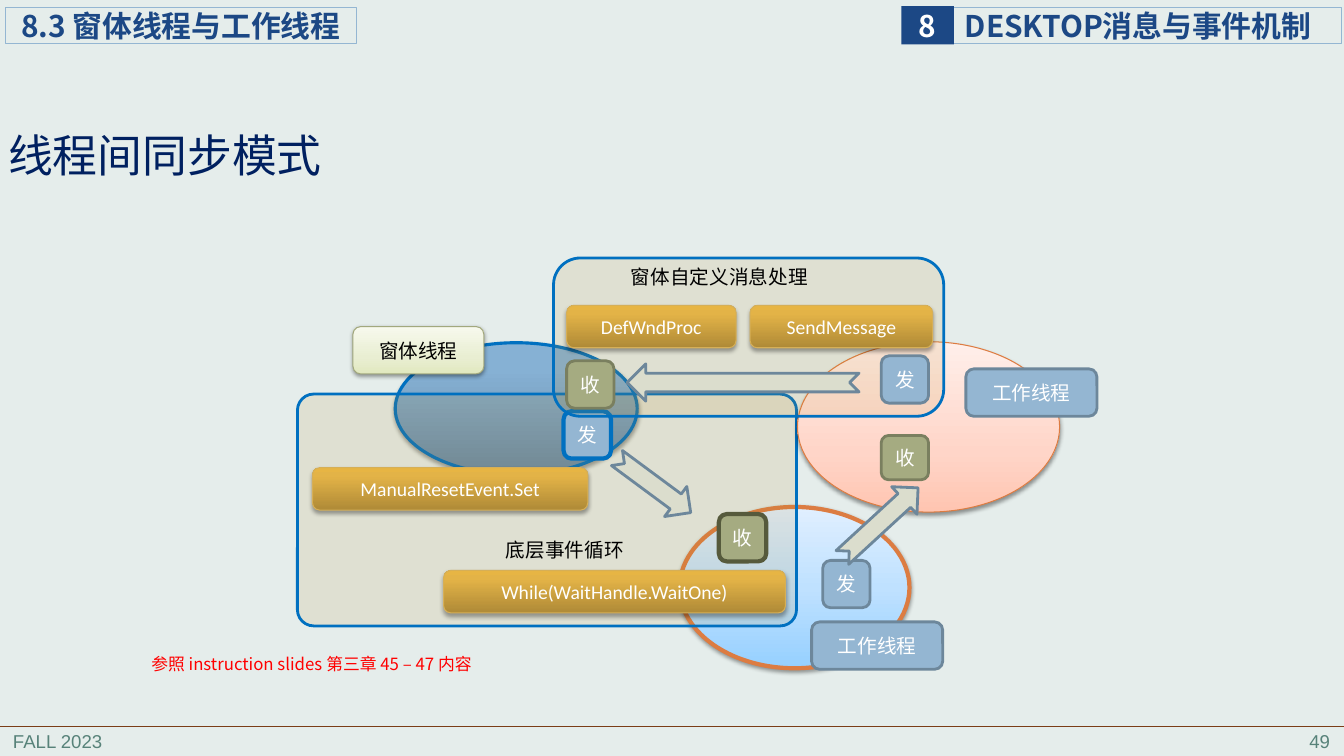
"""Builds a slide about synchronisation patterns between threads."""
from lxml import etree
from pptx import Presentation
from pptx.dml.color import RGBColor
from pptx.enum.shapes import MSO_CONNECTOR, MSO_SHAPE
from pptx.enum.text import MSO_ANCHOR, PP_ALIGN
from pptx.oxml.ns import qn
from pptx.util import Inches, Pt

RECT, ROUND, OVAL = MSO_SHAPE.RECTANGLE, MSO_SHAPE.ROUNDED_RECTANGLE, MSO_SHAPE.OVAL
ARROW = MSO_SHAPE.NOTCHED_RIGHT_ARROW
LEFT, CENTER, RIGHT = PP_ALIGN.LEFT, PP_ALIGN.CENTER, PP_ALIGN.RIGHT
TOP, MIDDLE = MSO_ANCHOR.TOP, MSO_ANCHOR.MIDDLE
STRAIGHT = MSO_CONNECTOR.STRAIGHT

PAPER = RGBColor(0xE5, 0xED, 0xEB)
FOOTER = RGBColor(0x57, 0x82, 0x79)
RULE = RGBColor(0x7B, 0x3D, 0x17)
NAVY = RGBColor(0x1C, 0x48, 0x85)
TITLE = RGBColor(0x00, 0x20, 0x60)
BLUE = RGBColor(0x00, 0x70, 0xC0)
SKY = RGBColor(0x94, 0xB6, 0xD2)
STEEL = RGBColor(0x6D, 0x87, 0x9B)
OLIVE = RGBColor(0xA5, 0xAB, 0x81)
OLIVE_EDGE = RGBColor(0x7A, 0x7F, 0x5F)
OLIVE_DARK = RGBColor(0x56, 0x5A, 0x3C)
CREAM_EDGE = RGBColor(0xA2, 0xA8, 0x7D)
GOLD = RGBColor(0xBA, 0x8F, 0x2D)
GOLD_EDGE = RGBColor(0xD6, 0xAF, 0x57)
ORANGE = RGBColor(0xDC, 0x7C, 0x42)
SAND = RGBColor(0xDB, 0xDD, 0xCD)
RED = RGBColor(0xFF, 0x00, 0x00)
WHITE = RGBColor(0xFF, 0xFF, 0xFF)
BLACK = RGBColor(0x00, 0x00, 0x00)

AZURE_FADE = ((0, "96D0FF"), (50, "BFE1FF"), (100, "E0EFFF"))
SLATE_FADE = ((0, "6788A4"), (80, "86B1D4"), (100, "86B2D7"))
CREAM_FADE = ((0, "E1E8BF"), (35, "E9EED2"), (100, "F7F9ED"))
GOLD_FADE = ((0, "AF8A37"), (80, "E3B347"), (100, "E7B544"))
PEACH_FADE = ((0, "FFC5B1"), (35, "FFD5C8"), (100, "FFEFEA"))


class Deck:
    def __init__(self):
        self.cjk, self.latin, self.footer = "Noto Sans CJK SC", "Calibri", "Arial"
        self.prs = Presentation()
        self.prs.slide_width, self.prs.slide_height = Inches(13.33), Inches(7.5)
        self.s = self.prs.slides.add_slide(self.prs.slide_layouts[6])
        self.s.background.fill.solid()
        self.s.background.fill.fore_color.rgb = PAPER

    def label(self, sp, text, size, color, font=None, align=CENTER, anchor=MIDDLE,
              insets=(0.1, 0.05, 0.1, 0.05), bold=False):
        tf = sp.text_frame
        tf.word_wrap, tf.vertical_anchor = True, anchor
        tf.margin_left, tf.margin_top, tf.margin_right, tf.margin_bottom = map(Inches, insets)
        p = tf.paragraphs[0]
        p.text, p.alignment = text, align
        f = p.font
        f.size, f.bold, f.name = Pt(size), bold, font or self.cjk
        f.color.rgb = color
        props = p._p.get_or_add_pPr().find(qn("a:defRPr"))
        etree.SubElement(props, qn("a:ea"), typeface=self.cjk)

    def text(self, box, text, size, color, **style):
        sp = self.s.shapes.add_textbox(*map(Inches, box))
        self.label(sp, text, size, color, **style)

    def shape(self, kind, box, fill=None, line=None, width=2, alpha=None, rotation=0):
        sp = self.s.shapes.add_shape(kind, *map(Inches, box))
        sp.shadow.inherit = False
        sp.rotation = rotation
        if fill is None:
            sp.fill.background()
        else:
            sp.fill.solid()
            sp.fill.fore_color.rgb = fill
        if alpha:
            color = sp._element.spPr.find(qn("a:solidFill"))[0]
            etree.SubElement(color, qn("a:alpha"), val=str(alpha * 1000))
        if line is None:
            sp.line.fill.background()
        else:
            sp.line.color.rgb, sp.line.width = line, Pt(width)
        return sp

    def glossy(self, kind, box, stops, line, width=0.75, opacity=38, distance=1.6):
        sp = self.shape(kind, box, line=line, width=width)
        sp.fill.gradient()
        sp.fill.gradient_angle = 90
        spPr = sp._element.spPr
        stop_list = spPr.find(qn("a:gradFill")).find(qn("a:gsLst"))
        stop_list.clear()
        for position, color in stops:
            stop = etree.SubElement(stop_list, qn("a:gs"), pos=str(position * 1000))
            etree.SubElement(stop, qn("a:srgbClr"), val=color)
        shadow = etree.SubElement(
            spPr.find(qn("a:effectLst")), qn("a:outerShdw"), blurRad=str(Pt(3.1)),
            dist=str(Pt(distance)), dir="5400000", rotWithShape="0")
        color = etree.SubElement(shadow, qn("a:srgbClr"), val="000000")
        etree.SubElement(color, qn("a:alpha"), val=str(opacity * 1000))
        return sp

    def panel(self, box, corner):
        sp = self.shape(ROUND, box, GOLD, BLUE, alpha=13)
        sp.adjustments[0] = corner

    def method_bar(self, left, top, width, text):
        sp = self.glossy(ROUND, (left, top, width, 0.42), GOLD_FADE, GOLD_EDGE,
                         opacity=35, distance=1.8)
        self.label(sp, text, 14, WHITE, font=self.latin)

    def worker(self, left, top):
        sp = self.shape(ROUND, (left, top, 1.3, 0.47), SKY, STEEL)
        self.label(sp, "工作线程", 14, WHITE)

    def sender(self, left, top, line=STEEL, width=2):
        sp = self.shape(ROUND, (left, top, 0.47, 0.47), SKY, line, width)
        self.label(sp, "发", 14, WHITE)

    def receiver(self, left, top, height=0.47, line=OLIVE_EDGE, width=2):
        sp = self.shape(ROUND, (left, top, 0.47, height), OLIVE, line, width)
        self.label(sp, "收", 14, WHITE)

    def arrow(self, left, top, width, rotation):
        self.shape(ARROW, (left, top, width, 0.37), SAND, STEEL, rotation=rotation)

    def heading(self, box, text, inset, fill=None, line=None, color=NAVY, align=LEFT):
        sp = self.shape(RECT, box, fill, line, 0.75)
        self.label(sp, text, 21.3, color, align=align, insets=(inset, 0, 0, 0), bold=True)

    def rule(self, y):
        c = self.s.shapes.add_connector(STRAIGHT, 0, Inches(y), self.prs.slide_width, Inches(y))
        c.line.color.rgb, c.line.width = RULE, Pt(0.5)
        etree.SubElement(c._element.spPr, qn("a:effectLst"))

    def frame(self):
        for left, text, align in ((0.03, "FALL 2023", LEFT), (10.51, "49", RIGHT)):
            self.text((left, 7.2, 2.78, 0.31), text, 13.3, FOOTER, font=self.footer, align=align)
        self.heading((9.45, 0.07, 3.86, 0.36), "DESKTOP消息与事件机制", 0.12, line=SKY)
        self.heading((8.94, 0.06, 0.52, 0.38), "8", 0, fill=NAVY, color=WHITE, align=CENTER)
        self.rule(7.21)
        self.heading((0.05, 0.07, 3.49, 0.36), "8.3 窗体线程与工作线程", 0.16, line=SKY)

    def event_loop(self):
        self.glossy(OVAL, (6.74, 5.03, 2.28, 1.6), AZURE_FADE, ORANGE, 3)
        self.glossy(OVAL, (3.92, 3.4, 2.4, 1.31), SLATE_FADE, BLUE, 2.25, 35, 1.8)
        self.panel((2.95, 3.91, 4.95, 2.3), 0.07)
        self.worker(8.05, 6.17)
        sp = self.glossy(ROUND, (3.5, 3.24, 1.3, 0.47), CREAM_FADE, CREAM_EDGE)
        self.label(sp, "窗体线程", 14, BLACK)
        self.sender(5.59, 4.08, BLUE, 3)
        self.arrow(6.03, 4.63, 0.91, 36.5)
        self.receiver(7.13, 5.1, line=OLIVE_DARK, width=3)
        self.method_bar(3.1, 4.64, 2.73, "ManualResetEvent.Set")
        self.method_bar(4.4, 5.66, 3.39, "While(WaitHandle.WaitOne)")
        self.text((4.92, 5.29, 1.73, 0.4), "底层事件循环", 14, BLACK, align=LEFT, anchor=TOP)

    def messages(self):
        self.glossy(OVAL, (7.91, 3.39, 2.6, 1.69), PEACH_FADE, ORANGE)
        self.panel((5.49, 2.56, 3.87, 1.57), 0.17)
        self.arrow(6.22, 3.61, 2.3, 180)
        self.method_bar(7.44, 3.03, 1.81, "SendMessage")
        self.worker(9.58, 3.66)
        self.sender(8.74, 3.53)
        self.sender(8.16, 5.56)
        self.receiver(5.62, 3.58)
        self.arrow(8.22, 5, 1.02, 317.4)
        self.receiver(8.74, 4.32, 0.44)
        self.method_bar(5.62, 3.03, 1.68, "DefWndProc")
        self.text((6.16, 2.58, 2.47, 0.4), "窗体自定义消息处理", 14, BLACK, align=LEFT, anchor=TOP)


def main():
    deck = Deck()
    deck.frame()
    deck.event_loop()
    deck.messages()
    deck.text((0, 1.16, 4.84, 0.74), "线程间同步模式", 32, TITLE, align=LEFT,
              insets=(0.08, 0.04, 0.08, 0.04))
    deck.text((1.26, 6.44, 3.66, 0.3), "参照 instruction slides 第三章 45 – 47 内容", 12, RED,
              anchor=TOP)
    deck.prs.save("out.pptx")


if __name__ == "__main__":
    main()
